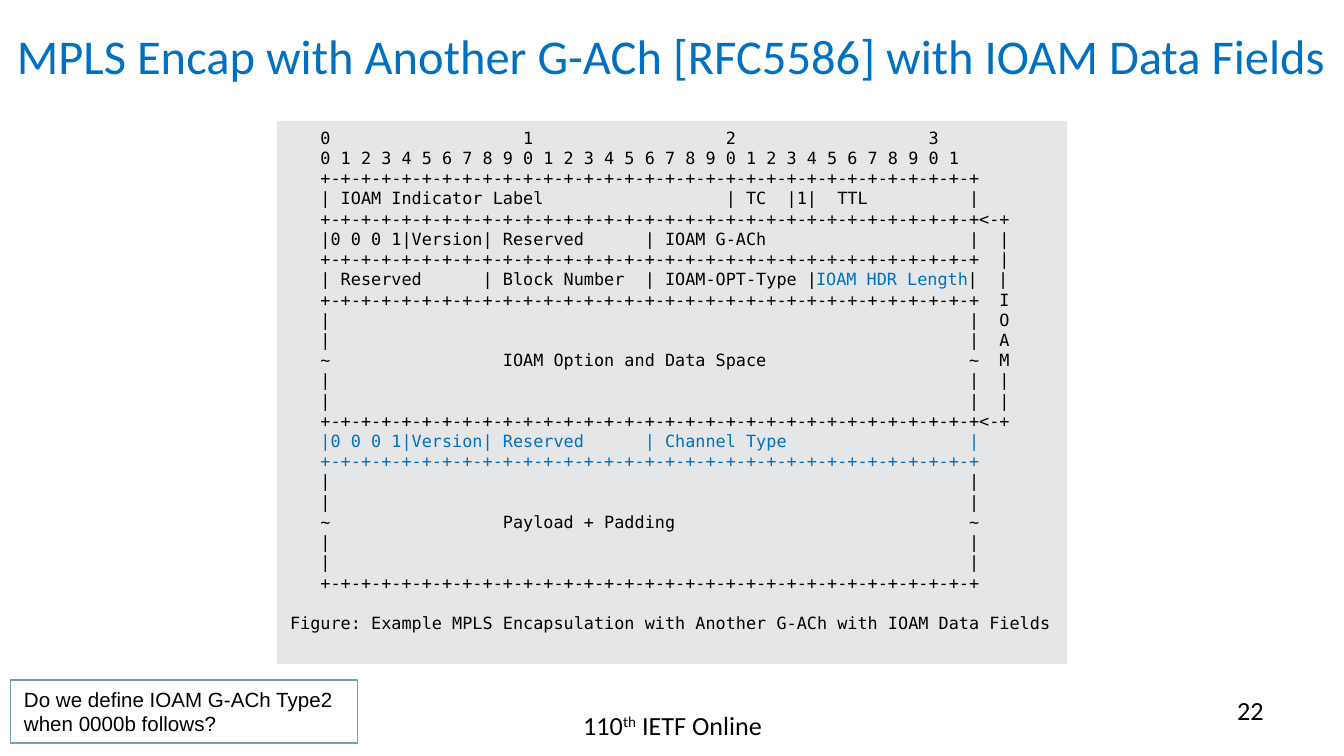
import pptx
import pptx.dml.color
import pptx.enum.shapes
import pptx.enum.text
import pptx.util

Inches = pptx.util.Inches
Pt = pptx.util.Pt
Align = pptx.enum.text.PP_ALIGN
Anchor = pptx.enum.text.MSO_ANCHOR

COLORS = {"black": "000000", "blue": "0070C0", "gray": "E5E6E8", "edge": "6EA0B0"}
FORMATS = {
    "title": {"name": "Calibri", "size": Pt(26)},
    "foot": {"name": "Calibri", "size": Pt(14)},
    "code": {"name": "DejaVu Sans Mono", "size": Pt(9)},
    "note": {"name": "Arial", "size": Pt(11)},
}
LEAD = "   "
RULE = LEAD + "+-" * 32 + "+"


def color(key):
    return pptx.dml.color.RGBColor.from_string(COLORS[key])


def row(text="", edge="|", tail=""):
    """Return one packet row, 63 characters wide between its edges."""
    return f"{LEAD}{edge}{text:63}{edge}{tail}"


def add_run(para, text, style, tint="black"):
    run = para.add_run()
    run.text = text
    for key, value in FORMATS[style].items():
        setattr(run.font, key, value)
    run.font.color.rgb = color(tint)
    return run


def add_text(slide, box, style, text, align, tint="black", anchor=Anchor.TOP):
    frame = slide.shapes.add_textbox(*map(Inches, box)).text_frame
    frame.word_wrap = True
    frame.vertical_anchor = anchor
    para = frame.paragraphs[0]
    para.alignment = align
    add_run(para, text, style, tint)
    return para


def add_box(slide, box, fill=None, edge=None):
    kind = pptx.enum.shapes.MSO_SHAPE.RECTANGLE
    shape = slide.shapes.add_shape(kind, *map(Inches, box))
    shape.shadow.inherit = False
    if fill:
        shape.fill.solid()
        shape.fill.fore_color.rgb = color(fill)
    else:
        shape.fill.background()
    if edge:
        shape.line.color.rgb = color(edge)
        shape.line.width = Pt(0.75)
    else:
        shape.line.fill.background()
    frame = shape.text_frame
    frame.word_wrap = True
    frame.vertical_anchor = Anchor.TOP
    frame.paragraphs[0].alignment = Align.LEFT
    return frame


def packet():
    """Return the diagram lines, each a list of (text, tint) runs."""
    fields = " Reserved      | Block Number  | IOAM-OPT-Type |"
    head = "0 0 0 1|Version| Reserved      | "
    gap = " " * 17
    side = [row(tail="  " + mark) for mark in "OA||"]
    side.insert(2, row(gap + "IOAM Option and Data Space", "~", "  M"))
    load = [row()] * 2
    top = [
        LEAD + "".join(f"{ten:<20}" for ten in range(4)).rstrip(),
        LEAD + " ".join(str(bit % 10) for bit in range(32)),
        RULE,
        row(" IOAM Indicator Label                  | TC  |1|  TTL"),
        RULE + "<-+",
        row(head + "IOAM G-ACh", tail="  |"),
        RULE + "  |",
    ]
    mixed = [(LEAD + "|" + fields, "black"), ("IOAM HDR Length", "blue"), ("|  |", "black")]
    mid = [RULE + "  I", *side, RULE + "<-+"]
    channel = [row(head + "Channel Type"), RULE]
    end = [*load, row(gap + "Payload + Padding", "~"), *load, RULE]

    def plain(lines, tint="black"):
        return [[(line, tint)] for line in lines]

    return plain(top) + [mixed] + plain(mid) + plain(channel, "blue") + plain(end)


def add_packet(slide):
    frame = add_box(slide, (2.06, 0.9, 5.88, 4.04), fill="gray")
    caption = "Figure: Example MPLS Encapsulation with Another G-ACh with IOAM Data Fields"
    for num, line in enumerate(packet() + [[(caption, "black")]]):
        para = frame.add_paragraph() if num else frame.paragraphs[0]
        para.alignment = Align.LEFT
        for text, tint in line:
            add_run(para, text, "code", tint)
    para.space_before = Pt(10.8)


def main():
    deck = pptx.Presentation()
    deck.slide_width = Inches(10)
    deck.slide_height = deck.slide_width * 9 // 16
    slide = deck.slides.add_slide(deck.slide_layouts[6])

    add_text(slide, (0, 0.08, 10, 0.66), "title",
             "MPLS Encap with Another G-ACh [RFC5586] with IOAM Data Fields",
             Align.CENTER, "blue", Anchor.MIDDLE)
    foot = add_text(slide, (3.42, 5.23, 3.17, 0.39), "foot", "110", Align.CENTER)
    raised = add_run(foot, "th", "foot")
    raised.font._element.set("baseline", "30000")
    add_run(foot, " IETF Online", "foot")
    add_text(slide, (7.17, 5.12, 2.33, 0.39), "foot", "22", Align.RIGHT)

    add_packet(slide)
    note = add_box(slide, (0.08, 5.06, 2.58, 0.47), edge="edge")
    add_run(note.paragraphs[0], "Do we define IOAM G-ACh Type2 when 0000b follows?", "note")
    deck.save("out.pptx")


if __name__ == "__main__":
    main()
